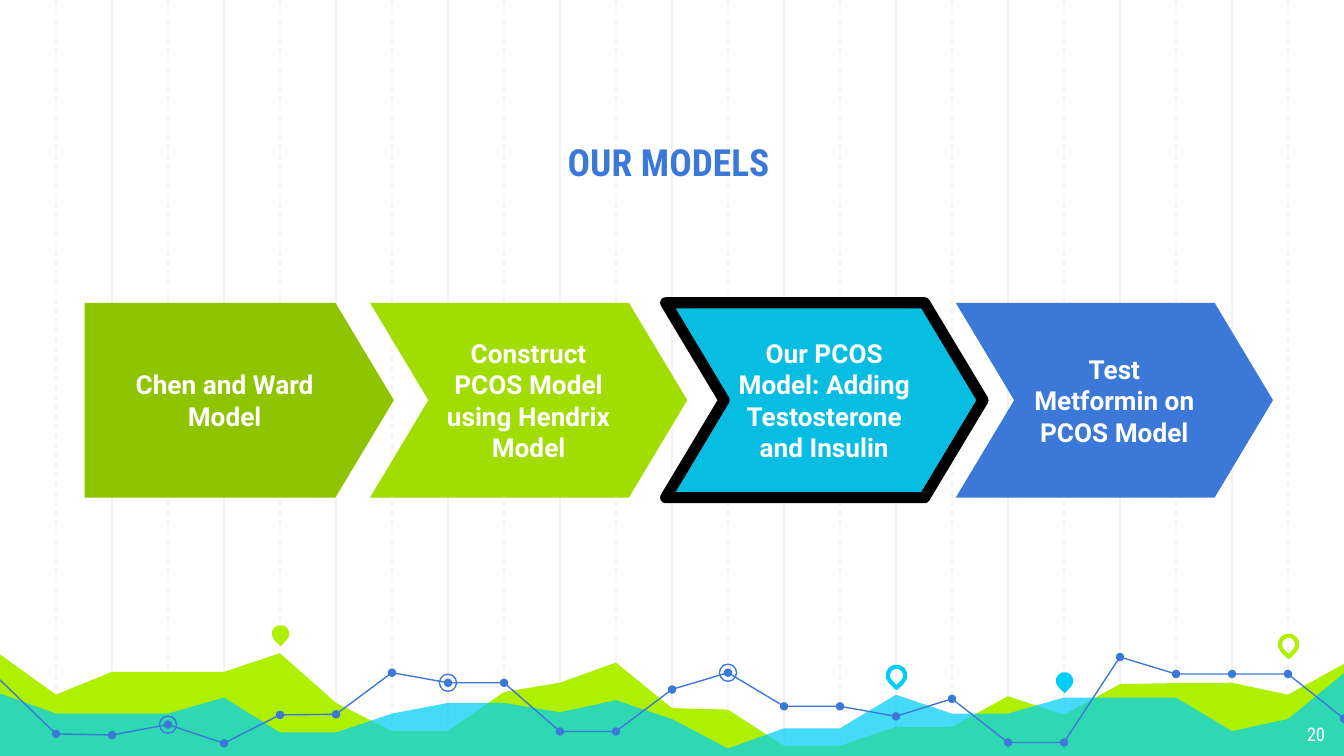
from lxml.etree import SubElement as Sub
from pptx import Presentation
from pptx.dml.color import RGBColor as RGB
from pptx.enum.dml import MSO_LINE as Dash
from pptx.enum.shapes import MSO_CONNECTOR as Conn, MSO_SHAPE as Kind
from pptx.enum.text import MSO_ANCHOR as Anchor, MSO_AUTO_SIZE as Fit, PP_ALIGN as Align
from pptx.oxml.ns import qn
from pptx.util import Pt

WHITE = RGB(0xFF, 0xFF, 0xFF)
BLACK = RGB(0, 0, 0)
GRID = RGB(0xF3, 0xF3, 0xF3)
BLUE = RGB(0x3C, 0x78, 0xD8)
LIME = RGB(0xAF, 0xF0, 0x00)
CYAN = RGB(0x00, 0xCE, 0xF6)
OLIVE = RGB(0x8E, 0xC4, 0x00)
GREEN = RGB(0xA1, 0xDD, 0x00)
TEAL = RGB(0x07, 0xBE, 0xE2)

WIDE, HIGH = 720, 405
STEP = 30  # spacing of the vertical grid, shared by the data points

# Heights below are measured from the top of the chart band
BAND = 345
HILLS = [5.6, 27.2, 15, 15, 15, 5, 31.6, 46.7, 46.7, 25.8, 20.8, 10, 34.4,
         35.2, 54.6, 54.6, 44.5, 44.5, 28, 38, 21.5, 21, 20.8, 27.2, 10.7]
WAVES = [26.5, 37.3, 37.3, 37.3, 28.7, 47.4, 47.4, 37.3, 31.6, 31.6, 36.6,
         30.1, 40.2, 56, 45.2, 45.2, 27.2, 37.3, 37.3, 28.7, 28.7, 28.7,
         46.7, 40.2, 15.7]
TREND = [19.3, 48.2, 48.8, 43.2, 53.2, 38, 37.7, 15.4, 20.8, 20.8, 46.9,
         46.9, 24.4, 15.4, 33.4, 33.4, 38.8, 29.4, 52.8, 52.8, 7, 16.1,
         16.1, 16.1, 40]
RINGS = [3, 8, 13]
# Grid column, height, colour, filled
PINS = [(5, -5.5, LIME, True), (16, 16.8, CYAN, False),
        (19, 19.7, CYAN, True), (23, 0.2, LIME, False)]

# Kind, left, width, colour, outlined, wording
STEPS = [
    (Kind.PENTAGON, 0, 165.6, OLIVE, False, "Chen and Ward Model"),
    (Kind.CHEVRON, 152.8, 170, GREEN, False,
     "Construct PCOS Model using Hendrix Model"),
    (Kind.CHEVRON, 311.2, 170, TEAL, True,
     "Our PCOS Model: Adding Testosterone and Insulin"),
    (Kind.CHEVRON, 466.6, 170, BLUE, False, "Test Metformin on PCOS Model"),
]


def paint(shape, fill=None, line=None, width=0.75):
    shape.shadow.inherit = False
    if fill is None:
        shape.fill.background()
    else:
        shape.fill.solid()
        shape.fill.fore_color.rgb = fill
    if line is None:
        shape.line.fill.background()
    else:
        shape.line.color.rgb = line
        shape.line.width = Pt(width)


def write(shape, text, size, face, color, align, anchor, bold=False):
    frame = shape.text_frame
    frame.word_wrap = True
    frame.auto_size = Fit.NONE
    frame.vertical_anchor = anchor
    frame.margin_left = frame.margin_right = Pt(7.2)
    frame.margin_top = frame.margin_bottom = Pt(7.2)
    frame.text = text
    par = frame.paragraphs[0]
    par.alignment = align
    par.font.size = Pt(size)
    par.font.name = face
    par.font.bold = bold
    par.font.color.rgb = color


def mark(slide, kind, x, y, size, **look):
    """Place a small square shape centred on a point."""
    shape = slide.shapes.add_shape(
        kind, Pt(x - size / 2), Pt(y - size / 2), Pt(size), Pt(size))
    paint(shape, **look)
    return shape


def trace(slide, points, close):
    points = [(Pt(x), Pt(y)) for x, y in points]
    path = slide.shapes.build_freeform(*points[0], scale=1.0)
    path.add_line_segments(points[1:], close=close)
    return path.convert_to_shape()


def add_grid(slide, left, top, width, height):
    for col in range(1, width // STEP):
        x = Pt(left + col * STEP)
        rule = slide.shapes.add_connector(
            Conn.STRAIGHT, x, Pt(top), x, Pt(top + height))
        rule.line.color.rgb = GRID
        rule.line.width = Pt(0.75)
        if col % 2:
            rule.line.dash_style = Dash.DASH
        Sub(rule._element.spPr, qn("a:effectLst"))


def add_chart_band(slide, left, top, width, height):
    def plot(levels):
        return [(left + i * STEP, top + y) for i, y in enumerate(levels)]

    # Filled areas
    base = [(left + width, top + height), (left, top + height)]
    paint(trace(slide, plot(HILLS) + base, True), fill=LIME)
    sea = trace(slide, plot(WAVES) + base, True)
    paint(sea, fill=CYAN)
    tint = sea._element.spPr.find(qn("a:solidFill"))[0]
    Sub(tint, qn("a:alpha"), val="73000")

    # Trend line with its dots and rings
    dots = plot(TREND)
    paint(trace(slide, dots, False), line=BLUE)
    for x, y in dots[1:]:
        mark(slide, Kind.OVAL, x, y, 4.5, fill=BLUE)
    for col in RINGS:
        mark(slide, Kind.OVAL, *dots[col], 9.2, line=BLUE)

    # Pins
    for col, y, color, full in PINS:
        look = {"fill": color} if full else {"line": color, "width": 2.25}
        pin = mark(slide, Kind.TEAR, left + col * STEP + 0.3, top + y, 9.4, **look)
        pin.rotation = 135


def add_title(slide, left, top, width, height):
    title = slide.shapes.title
    title.left, title.top = Pt(left), Pt(top)
    title.width, title.height = Pt(width), Pt(height)
    write(title, "OUR MODELS", 20, "Roboto Condensed", BLUE,
          Align.CENTER, Anchor.BOTTOM, bold=True)
    # Bring the title in front of the grid
    title._element.getparent().append(title._element)


def add_steps(slide, left, top, height):
    for kind, x, width, color, framed, text in STEPS:
        step = slide.shapes.add_shape(
            kind, Pt(left + x), Pt(top), Pt(width), Pt(height))
        step.adjustments[0] = 0.3
        paint(step, fill=color, line=BLACK if framed else None, width=6)
        if framed:
            Sub(step.line._get_or_add_ln(), qn("a:round"))
        write(step, text, 14, "Roboto", WHITE,
              Align.CENTER, Anchor.MIDDLE, bold=True)


def add_number(slide, left, top, width, height):
    box = slide.shapes.add_textbox(Pt(left), Pt(top), Pt(width), Pt(height))
    write(box, "20", 10, "Roboto Condensed", WHITE, Align.RIGHT, Anchor.TOP)


def main():
    deck = Presentation()
    deck.slide_width, deck.slide_height = Pt(WIDE), Pt(HIGH)
    slide = deck.slides.add_slide(deck.slide_layouts[5])
    add_grid(slide, 0, 0, WIDE, HIGH)
    add_chart_band(slide, 0, BAND, WIDE, HIGH - BAND)
    add_title(slide, 82.8, 49.7, 550.8, 56.2)
    add_steps(slide, 45.4, 162.2, 104.4)
    add_number(slide, 674, 380, 43, 25)
    deck.save("out.pptx")


if __name__ == "__main__":
    main()
